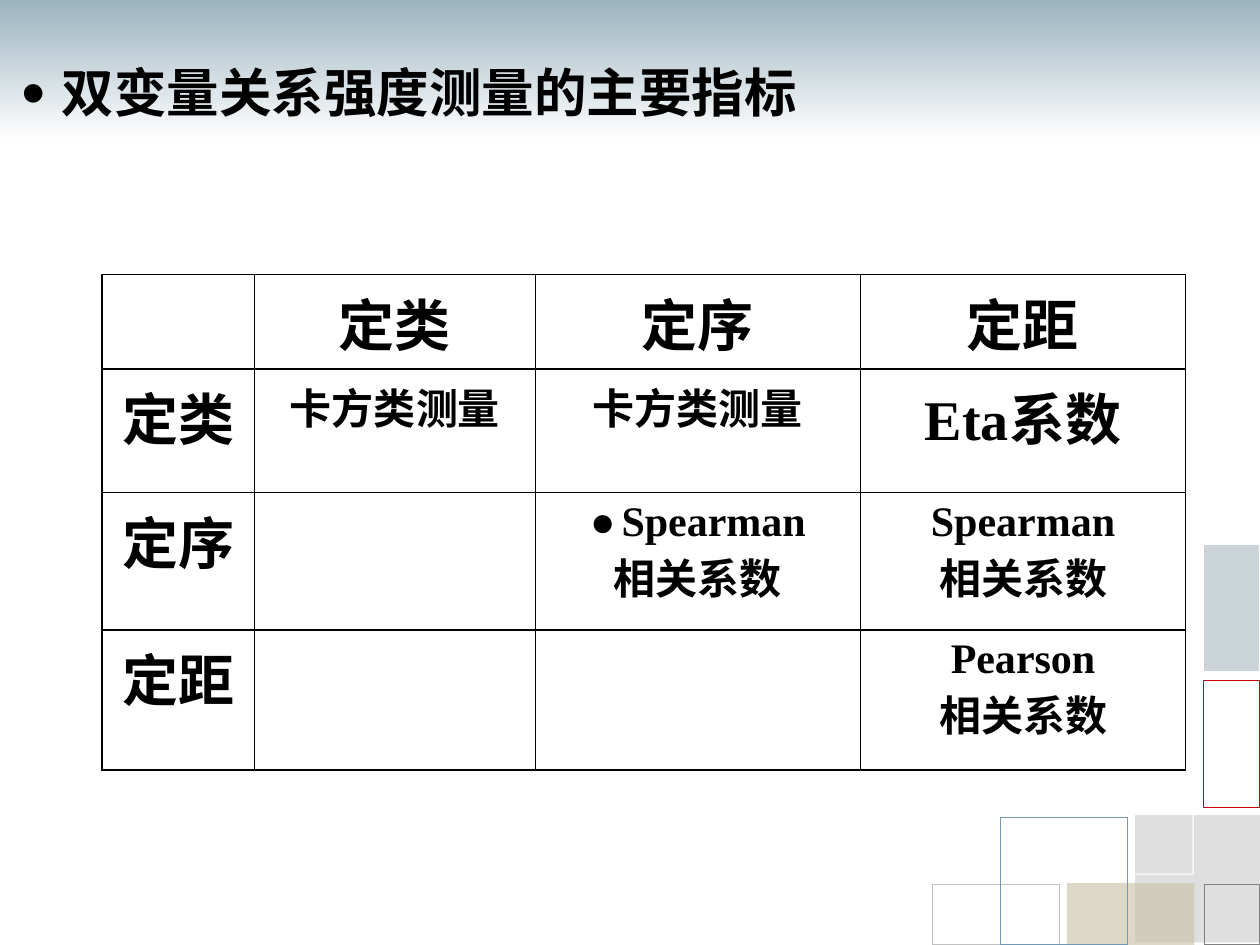
from lxml import etree
from pptx import Presentation
from pptx import util as u
from pptx.dml.color import RGBColor
from pptx.enum import shapes, text
from pptx.oxml.ns import qn

HEX = {
    "black": "000000", "white": "FFFFFF", "pale": "C0CFD6", "mist": "9BB3BF",
    "gray": "808080", "sand": "C9C5AB", "red": "CC0000", "silver": "C0C0C0",
    "slate": "46667A", "blue": "7297AE",
}
RGB = {name: RGBColor.from_string(code) for name, code in HEX.items()}
CJK, ROMAN, SANS = "Noto Sans CJK SC", "Times New Roman", "Arial"


def fade(fill, alpha):
    color = fill._xPr.find(".//" + qn("a:srgbClr"))
    etree.SubElement(color, qn("a:alpha"), val=str(alpha * 1000))


def style(font, size, face):
    font.size, font.name, font.bold = u.Pt(size), face, True
    font.color.rgb = RGB["black"]


deck = Presentation()
deck.slide_width, deck.slide_height = u.Inches(10), u.Inches(7.5)
slide = deck.slides.add_slide(deck.slide_layouts[5])

bands = [(-0.01, "white", "pale"), (0, "mist", "white")]
for pos, start, end in bands:
    band = slide.shapes.add_shape(
        shapes.MSO_SHAPE.RECTANGLE, u.Inches(pos), u.Inches(pos), u.Inches(10), u.Inches(1.12))
    band.shadow.inherit = False
    band.line.fill.background()
    band.fill.gradient()
    band.fill.gradient_angle = 270
    for stop, name in zip(band.fill.gradient_stops, (start, end)):
        stop.color.rgb = RGB[name]

blocks = [
    (9.56, 7.02, 0.44, 0.48, None, 100, "gray", 0.75, 100),
    (9.01, 6.47, 1.01, 1.01, "gray", 25, None, 0, 100),
    (8.47, 7.01, 1.01, 0.49, "sand", 66, None, 0, 100),
    (9.55, 5.4, 0.45, 1.01, None, 100, "red", 0.8, 100),
    (7.4, 7.02, 1.01, 0.48, None, 100, "silver", 0.75, 100),
    (8.46, 5.93, 1.01, 1.01, None, 100, "white", 0.75, 76),
    (9.55, 4.32, 0.45, 1.01, "slate", 28, "white", 0.75, 100),
    (7.94, 6.49, 1.01, 1.01, None, 100, "blue", 0.75, 100),
]
for *box, fill, alpha, line, width, clear in blocks:
    block = slide.shapes.add_shape(shapes.MSO_SHAPE.RECTANGLE, *map(u.Inches, box))
    block.shadow.inherit = False
    if fill:
        block.fill.solid()
        block.fill.fore_color.rgb = RGB[fill]
        fade(block.fill, alpha)
    else:
        block.fill.background()
    if line:
        block.line.color.rgb = RGB[line]
        block.line.width = u.Pt(width)
        if clear < 100:
            fade(block.line.fill, clear)
    else:
        block.line.fill.background()

title = slide.shapes.title
title._element.getparent().append(title._element)
title.left, title.top = u.Inches(0.07), u.Inches(0.26)
title.width, title.height = u.Inches(8.79), u.Inches(1.01)
frame = title.text_frame
frame.text = "双变量关系强度测量的主要指标"
frame.word_wrap = True
frame.auto_size = text.MSO_AUTO_SIZE.NONE
frame.vertical_anchor = text.MSO_ANCHOR.MIDDLE
frame.margin_left = frame.margin_right = u.Inches(0.1)
frame.margin_top = frame.margin_bottom = 0
para = frame.paragraphs[0]
para.alignment = text.PP_ALIGN.LEFT
para.line_spacing = 0.88
style(para.font, 30, SANS)
props = para._p.get_or_add_pPr()
props.set("marL", str(u.Inches(0.32)))
props.set("indent", str(u.Inches(-0.32)))
mark = props.find(qn("a:defRPr"))
for tag, key, value in (("buSzPct", "val", "130000"), ("buFont", "typeface", SANS),
                        ("buChar", "char", "•")):
    mark.addprevious(etree.Element(qn("a:" + tag), {key: value}))

big = {name: [[(name, 32, CJK)]] for name in ("定类", "定序", "定距")}
chi = [[("卡方类测量", 24, CJK)]]
coef = [("相关系数", 24, CJK)]
spear = ("Spearman", 24, ROMAN)
rows = [
    [[], big["定类"], big["定序"], big["定距"]],
    [big["定类"], chi, chi, [[("Eta", 32, ROMAN), ("系数", 32, CJK)]]],
    [big["定序"], [], [[("●", 24, SANS), (" ", 14, ROMAN), spear], coef], [[spear], coef]],
    [big["定距"], [], [], [[("Pearson", 24, ROMAN)], coef]],
]
grid = slide.shapes.add_table(
    4, 4, u.Inches(0.81), u.Inches(2.18), u.Inches(8.6), u.Inches(3.94)).table
grid.first_row = grid.horz_banding = False
for col, width in zip(grid.columns, (1.21, 2.23, 2.58, 2.58)):
    col.width = u.Inches(width)
for row, height in zip(grid.rows, (0.75, 0.98, 1.09, 1.11)):
    row.height = u.Inches(height)

for row, line in zip(grid.rows, rows):
    for cell, paras in zip(row.cells, line):
        cell.fill.background()
        props = cell._tc.get_or_add_tcPr()
        for spot, side in enumerate(("lnL", "lnR", "lnT", "lnB")):
            edge = etree.Element(qn("a:" + side), w=str(u.Pt(1)))
            solid = etree.SubElement(edge, qn("a:solidFill"))
            etree.SubElement(solid, qn("a:srgbClr"), val=HEX["black"])
            props.insert(spot, edge)
        frame = cell.text_frame
        for spot, runs in enumerate(paras):
            para = frame.add_paragraph() if spot else frame.paragraphs[0]
            para.alignment = text.PP_ALIGN.CENTER
            props = para._p.get_or_add_pPr()
            props.set("marL", str(u.Inches(0.25)))
            props.set("indent", str(u.Inches(-0.25)))
            for words, size, face in runs:
                run = para.add_run()
                run.text = words
                style(run.font, size, face)

deck.save("out.pptx")
